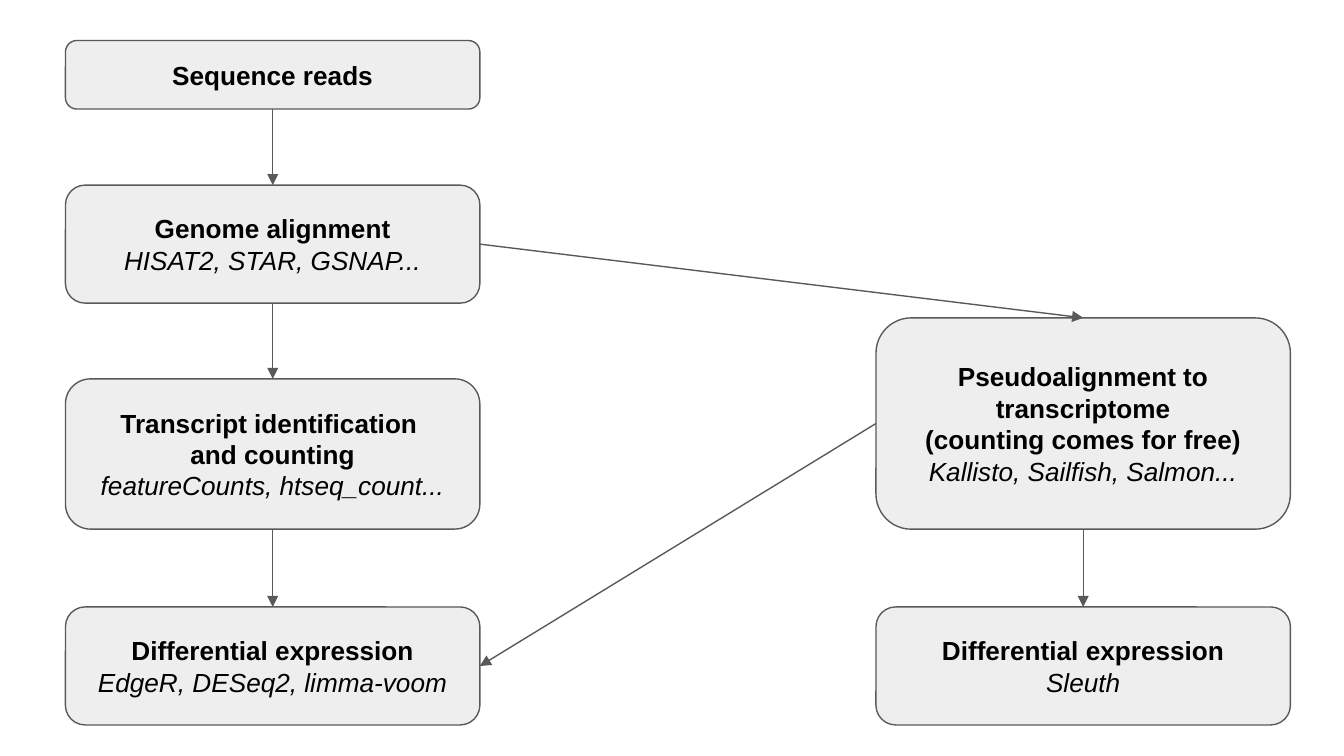
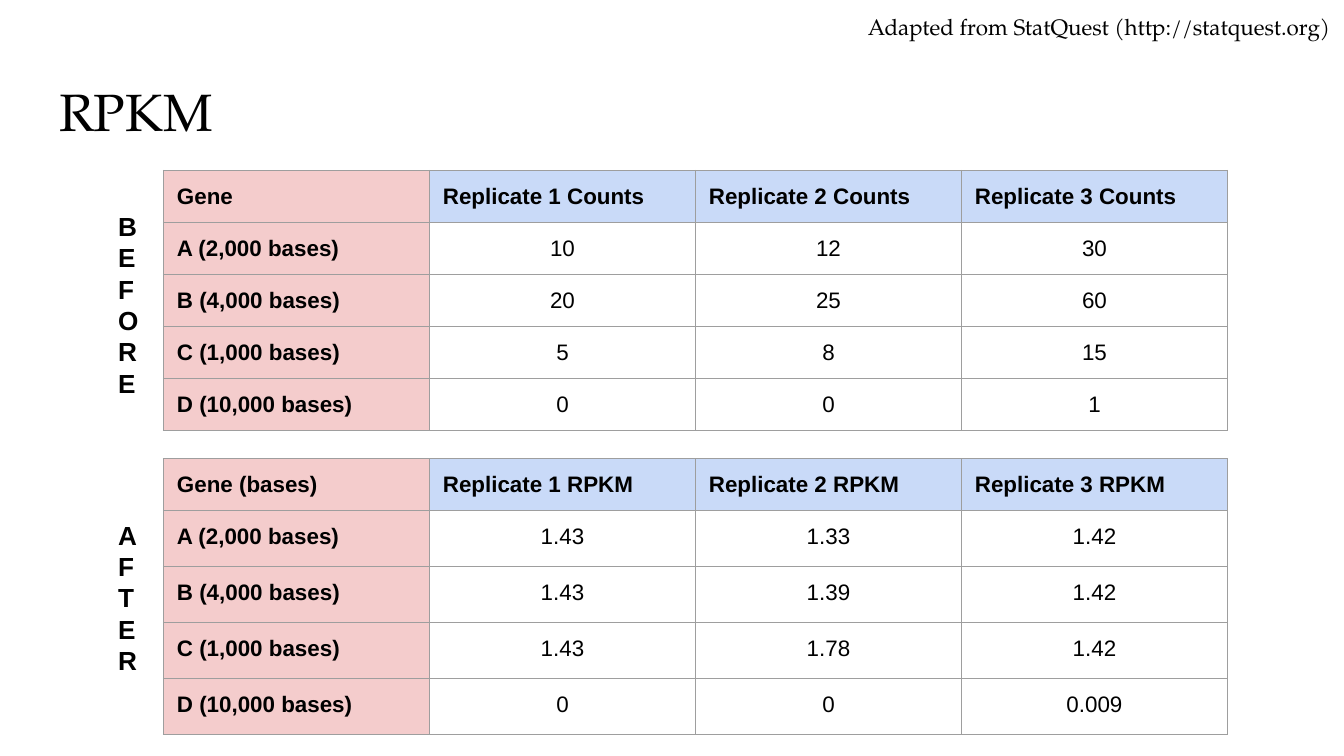
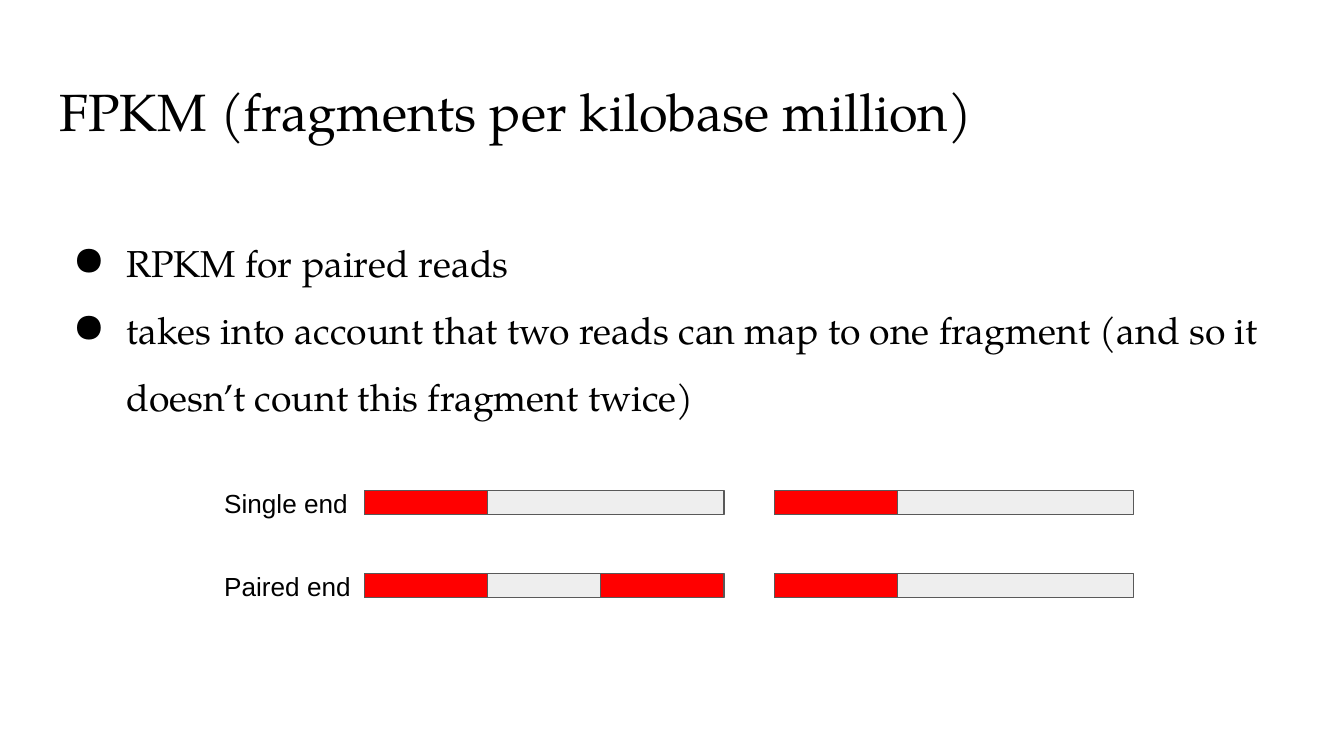
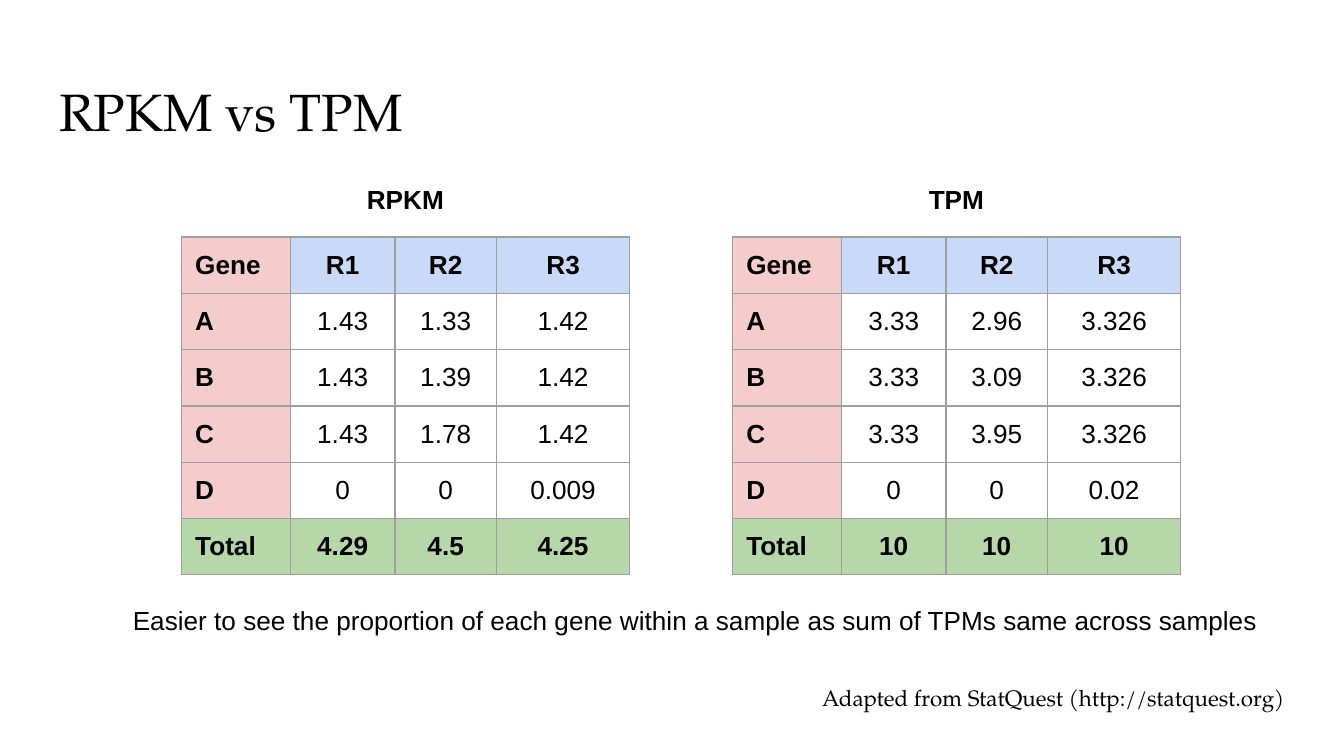
from dataclasses import dataclass

from lxml import etree
from pptx import Presentation
from pptx.dml.color import RGBColor
from pptx.enum.shapes import MSO_CONNECTOR, MSO_SHAPE
from pptx.enum.text import MSO_ANCHOR, MSO_AUTO_SIZE, PP_ALIGN
from pptx.oxml.ns import qn
from pptx.util import Pt

LEFT, CENTER, RIGHT = PP_ALIGN.LEFT, PP_ALIGN.CENTER, PP_ALIGN.RIGHT
TOP_ANCHOR, MIDDLE = MSO_ANCHOR.TOP, MSO_ANCHOR.MIDDLE
RECT, ROUND_RECT = MSO_SHAPE.RECTANGLE, MSO_SHAPE.ROUNDED_RECTANGLE
STRAIGHT = MSO_CONNECTOR.STRAIGHT
TOP, SIDE_LEFT, BOTTOM, SIDE_RIGHT = range(4)
TITLE_AND_BODY, TITLE_ONLY, BLANK = 1, 5, 6


@dataclass(frozen=True)
class Theme:
    serif: str = "TeX Gyre Pagella"
    sans: str = "Arial"
    title: int = 28
    body: int = 20
    label: int = 14
    small: int = 12
    inset: float = 7.2
    line: float = 0.75
    ink: str = "000000"
    box: str = "EEEEEE"
    outline: str = "595959"
    read: str = "FF0000"
    border: str = "9E9E9E"
    gene: str = "F4CCCC"
    replicate: str = "C9DAF8"
    total: str = "B6D7A8"


THEME = Theme()
TITLE_BOX = (24.5, 35, 671, 45)
CREDIT = "Adapted from StatQuest (http://statquest.org)"

# Pipeline: name -> (left, top, height, bold lines, italic tools)
STEP_WIDTH = 222
MAIN_X, PSEUDO_X = 35.1, 469.3
STEPS = {
    "reads": (MAIN_X, 21.7, 36.7, ["Sequence reads"], None),
    "alignment": (MAIN_X, 99.2, 63.2, ["Genome alignment"], "HISAT2, STAR, GSNAP..."),
    "counting": (MAIN_X, 203, 80.5, ["Transcript identification ", "and counting"],
                 "featureCounts, htseq_count..."),
    "expression": (MAIN_X, 325.2, 63.2, ["Differential expression"],
                   "EdgeR, DESeq2, limma-voom"),
    "pseudo": (PSEUDO_X, 170.3, 113.2,
               ["Pseudoalignment to transcriptome", "(counting comes for free)"],
               "Kallisto, Sailfish, Salmon..."),
    "pseudo expression": (PSEUDO_X, 325.2, 63.2, ["Differential expression"], "Sleuth"),
}
ARROWS = [
    ("reads", BOTTOM, "alignment", TOP),
    ("alignment", BOTTOM, "counting", TOP),
    ("counting", BOTTOM, "expression", TOP),
    ("pseudo", BOTTOM, "pseudo expression", TOP),
    ("alignment", SIDE_RIGHT, "pseudo", TOP),
    ("pseudo", SIDE_LEFT, "expression", SIDE_RIGHT),
]

GENES = ["A (2,000 bases)", "B (4,000 bases)", "C (1,000 bases)", "D (10,000 bases)"]
RPKM = [
    ["1.43", "1.33", "1.42"],
    ["1.43", "1.39", "1.42"],
    ["1.43", "1.78", "1.42"],
    ["0", "0", "0.009"],
]
COUNTS = [["10", "12", "30"], ["20", "25", "60"], ["5", "8", "15"], ["0", "0", "1"]]
# (side label, label top, table top, corner, unit, values, row heights)
BEFORE_AFTER = [
    ("BEFORE", 93.6, 91.3, "Gene", "Counts", COUNTS, [27.9] * 5),
    ("AFTER", 250.6, 245.7, "Gene (bases)", "RPKM", RPKM, [27.9] + [30] * 4),
]

FPKM_POINTS = [
    "RPKM for paired reads",
    "takes into account that two reads can map to one fragment "
    "(and so it doesn’t count this fragment twice)",
]
FRAGMENT_XS, FRAGMENT_WIDTH, READ_WIDTH, BAR_HEIGHT = (195.3, 414.8), 192.5, 66, 12.9
# (label, bar top, whether the first fragment is read from both ends)
SEQUENCING = [("Single end", 262.8, False), ("Paired end", 307.3, True)]

TPM = [
    ["3.33", "2.96", "3.326"],
    ["3.33", "3.09", "3.326"],
    ["3.33", "3.95", "3.326"],
    ["0", "0", "0.02"],
]
# (heading, table left, values, totals)
COMPARISON = [
    ("RPKM", 97.4, RPKM, ["4.29", "4.5", "4.25"]),
    ("TPM", 392.6, TPM, ["10", "10", "10"]),
]
COMPARISON_COLUMNS = [58.2, 56, 54.4, 71.4]
CONCLUSION = ("Easier to see the proportion of each gene within a sample "
              "as sum of TPMs same across samples")


def rgb(color):
    return RGBColor.from_string(color)


def pts(values):
    return [Pt(v) for v in values]


def style(p, size, font=THEME.sans, bold=False, italic=False, align=LEFT):
    p.alignment = align
    for r in p.runs:
        r.font.name, r.font.size = font, Pt(size)
        r.font.bold, r.font.italic = bold, italic
        r.font.color.rgb = rgb(THEME.ink)


def set_frame(tf, anchor=TOP_ANCHOR):
    tf.word_wrap = True
    tf.auto_size = MSO_AUTO_SIZE.NONE
    tf.vertical_anchor = anchor
    tf.margin_left = tf.margin_right = tf.margin_top = tf.margin_bottom = Pt(THEME.inset)


def place(sp, box):
    sp.left, sp.top, sp.width, sp.height = pts(box)


def add_text(shapes, box, text, size=THEME.label, anchor=TOP_ANCHOR, **look):
    tf = shapes.add_textbox(*pts(box)).text_frame
    set_frame(tf, anchor)
    tf.text = text
    style(tf.paragraphs[0], size, **look)


def add_credit(slide, left, top):
    add_text(slide.shapes, (left, top, 435.6, 32.4), CREDIT, THEME.small,
             font=THEME.serif, align=RIGHT)


def add_box(shapes, kind, box, fill=THEME.box):
    sp = shapes.add_shape(kind, *pts(box))
    sp.shadow.inherit = False
    sp.fill.solid()
    sp.fill.fore_color.rgb = rgb(fill)
    sp.line.color.rgb = rgb(THEME.outline)
    sp.line.width = Pt(THEME.line)
    return sp


def add_arrow(shapes, start, start_side, end, end_side):
    cxn = shapes.add_connector(STRAIGHT, 0, 0, 0, 0)
    cxn.begin_connect(start, start_side)
    cxn.end_connect(end, end_side)
    cxn.line.color.rgb = rgb(THEME.outline)
    cxn.line.width = Pt(THEME.line)
    etree.SubElement(cxn.line._get_or_add_ln(), qn("a:tailEnd"), type="triangle")
    etree.SubElement(cxn._element.spPr, qn("a:effectLst"))


def add_titled_slide(prs, title, layout=TITLE_ONLY):
    slide = prs.slides.add_slide(prs.slide_layouts[layout])
    sp = slide.shapes.title
    place(sp, TITLE_BOX)
    set_frame(sp.text_frame)
    sp.text_frame.text = title
    style(sp.text_frame.paragraphs[0], THEME.title, THEME.serif)
    return slide


def add_bullet(p):
    """Hang the paragraph behind a round bullet."""
    pPr = p._p.get_or_add_pPr()
    pPr.set("marL", str(Pt(36)))
    pPr.set("indent", str(Pt(-28)))
    color = etree.SubElement(pPr, qn("a:buClr"))
    etree.SubElement(color, qn("a:srgbClr"), val=THEME.ink)
    etree.SubElement(pPr, qn("a:buFont"), typeface=THEME.serif)
    etree.SubElement(pPr, qn("a:buChar"), char="●")


def add_borders(cell):
    tcPr = cell._tc.get_or_add_tcPr()
    for side in ("lnL", "lnR", "lnT", "lnB"):
        ln = etree.SubElement(tcPr, qn(f"a:{side}"), w=str(Pt(THEME.line)))
        fill = etree.SubElement(ln, qn("a:solidFill"))
        etree.SubElement(fill, qn("a:srgbClr"), val=THEME.border)


def add_gene_table(slide, left, top, widths, heights, rows, size, header_align, has_total=False):
    """Draw a table with gene names in column 0 and replicates in row 0."""
    box = pts((left, top, sum(widths), sum(heights)))
    table = slide.shapes.add_table(len(rows), len(widths), *box).table
    table.first_row = table.horz_banding = False
    for column, width in zip(table.columns, widths):
        column.width = Pt(width)
    for i, (row, height) in enumerate(zip(rows, heights)):
        table.rows[i].height = Pt(height)
        is_total = has_total and i == len(rows) - 1
        for j, value in enumerate(row):
            cell = table.cell(i, j)
            cell.margin_left = cell.margin_right = Pt(THEME.inset)
            cell.margin_top = cell.margin_bottom = Pt(THEME.inset)
            add_borders(cell)
            fill = (THEME.total if is_total else THEME.gene if j == 0
                    else THEME.replicate if i == 0 else None)
            if fill:
                cell.fill.solid()
                cell.fill.fore_color.rgb = rgb(fill)
            else:
                cell.fill.background()
            cell.text = value
            align = LEFT if j == 0 else header_align if i == 0 else CENTER
            style(cell.text_frame.paragraphs[0], size, bold=fill is not None, align=align)


def build_pipeline(prs):
    shapes = prs.slides.add_slide(prs.slide_layouts[BLANK]).shapes
    steps = {}
    for name, (left, top, height, heading, tools) in STEPS.items():
        sp = steps[name] = add_box(shapes, ROUND_RECT, (left, top, STEP_WIDTH, height))
        tf = sp.text_frame
        set_frame(tf, MIDDLE)
        tf.text = "\n".join(heading + ([tools] if tools else []))
        for i, p in enumerate(tf.paragraphs):
            is_heading = i < len(heading)
            style(p, THEME.label, bold=is_heading, italic=not is_heading, align=CENTER)
    for start, start_side, end, end_side in ARROWS:
        add_arrow(shapes, steps[start], start_side, steps[end], end_side)


def build_rpkm(prs):
    slide = add_titled_slide(prs, "RPKM")
    add_credit(slide, 284.4, 0)
    for label, label_top, top, corner, unit, values, heights in BEFORE_AFTER:
        header = [corner] + [f"Replicate {n} {unit}" for n in (1, 2, 3)]
        rows = [header] + [[gene, *row] for gene, row in zip(GENES, values)]
        add_gene_table(slide, 87.6, top, [142.5] * 4, heights, rows, THEME.small, LEFT)
        add_text(slide.shapes, (56.2, label_top, 19.4, 139), label, anchor=MIDDLE, bold=True)


def build_fpkm(prs):
    slide = add_titled_slide(prs, "FPKM (fragments per kilobase million)", TITLE_AND_BODY)
    body = slide.placeholders[1]
    place(body, (24.5, 109.4, 671, 158.4))
    tf = body.text_frame
    set_frame(tf)
    tf.text = "\n".join(FPKM_POINTS)
    for p in tf.paragraphs:
        add_bullet(p)
        p.line_spacing = 1.5
        p.space_before = p.space_after = Pt(0)
        style(p, THEME.body, THEME.serif)

    shapes = slide.shapes.add_group_shape().shapes
    for label, top, is_paired in SEQUENCING:
        add_text(shapes, (113, top - 6.6, 82.8, 26.6), label, anchor=MIDDLE)
        for x in FRAGMENT_XS:
            add_box(shapes, RECT, (x, top, FRAGMENT_WIDTH, BAR_HEIGHT))
        reads = list(FRAGMENT_XS)
        if is_paired:
            reads.append(FRAGMENT_XS[0] + FRAGMENT_WIDTH - READ_WIDTH)
        for x in reads:
            add_box(shapes, RECT, (x, top, READ_WIDTH, BAR_HEIGHT), THEME.read)


def build_comparison(prs):
    slide = add_titled_slide(prs, "RPKM vs TPM")
    for heading, left, values, totals in COMPARISON:
        rows = [["Gene", "R1", "R2", "R3"]]
        rows += [[gene, *row] for gene, row in zip("ABCD", values)]
        rows.append(["Total", *totals])
        add_gene_table(slide, left, 127, COMPARISON_COLUMNS, [30.1] * len(rows), rows,
                       THEME.label, CENTER, has_total=True)
        add_text(slide.shapes, (left + 87.8, 90.8, 64, 26), heading, bold=True, align=CENTER)
    add_text(slide.shapes, (64.1, 316.8, 620, 32.4), CONCLUSION)
    add_credit(slide, 259.9, 359.3)


def main():
    prs = Presentation()
    prs.slide_width, prs.slide_height = Pt(720), Pt(405)
    for build in (build_pipeline, build_rpkm, build_fpkm, build_comparison):
        build(prs)
    prs.save("out.pptx")


if __name__ == "__main__":
    main()
